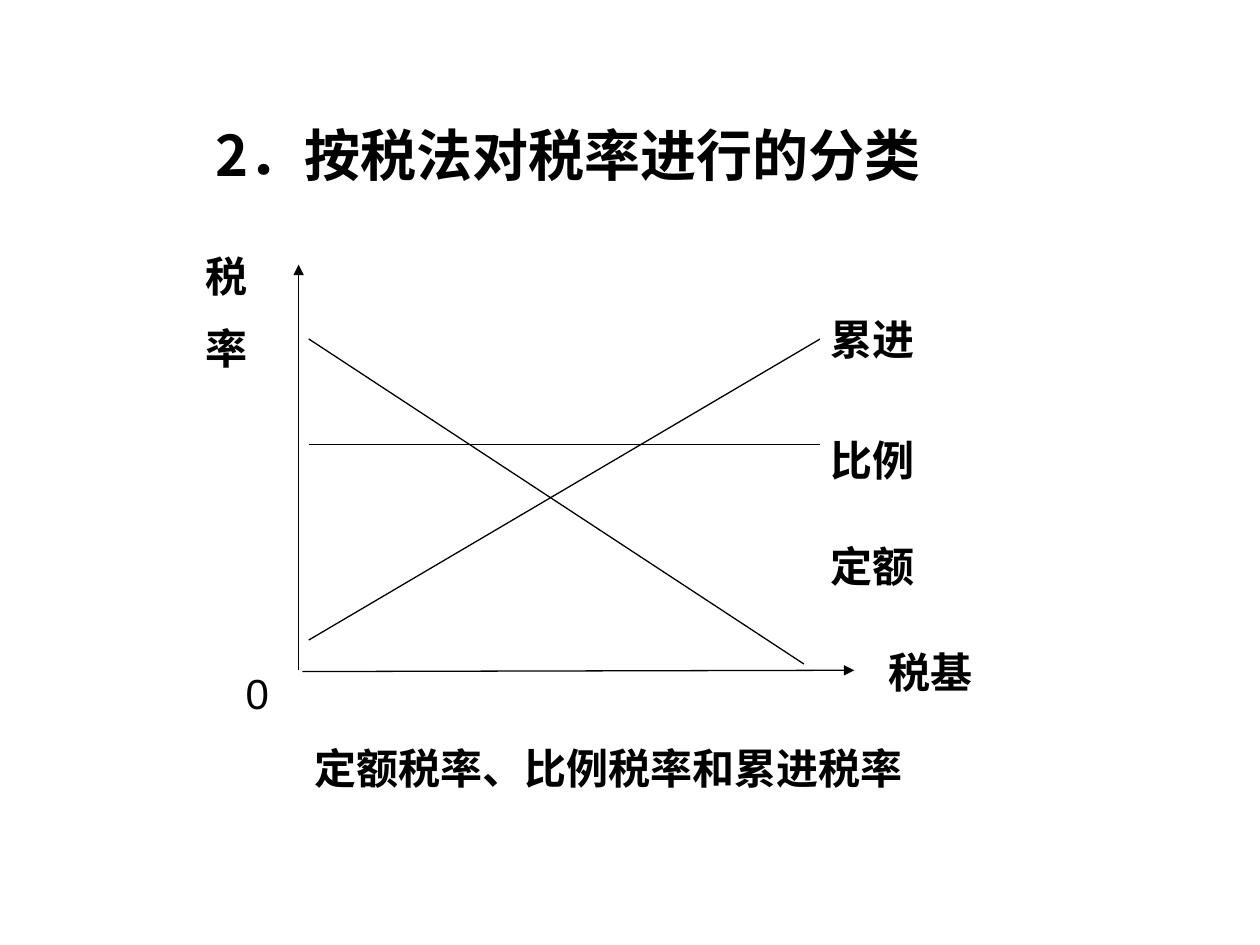
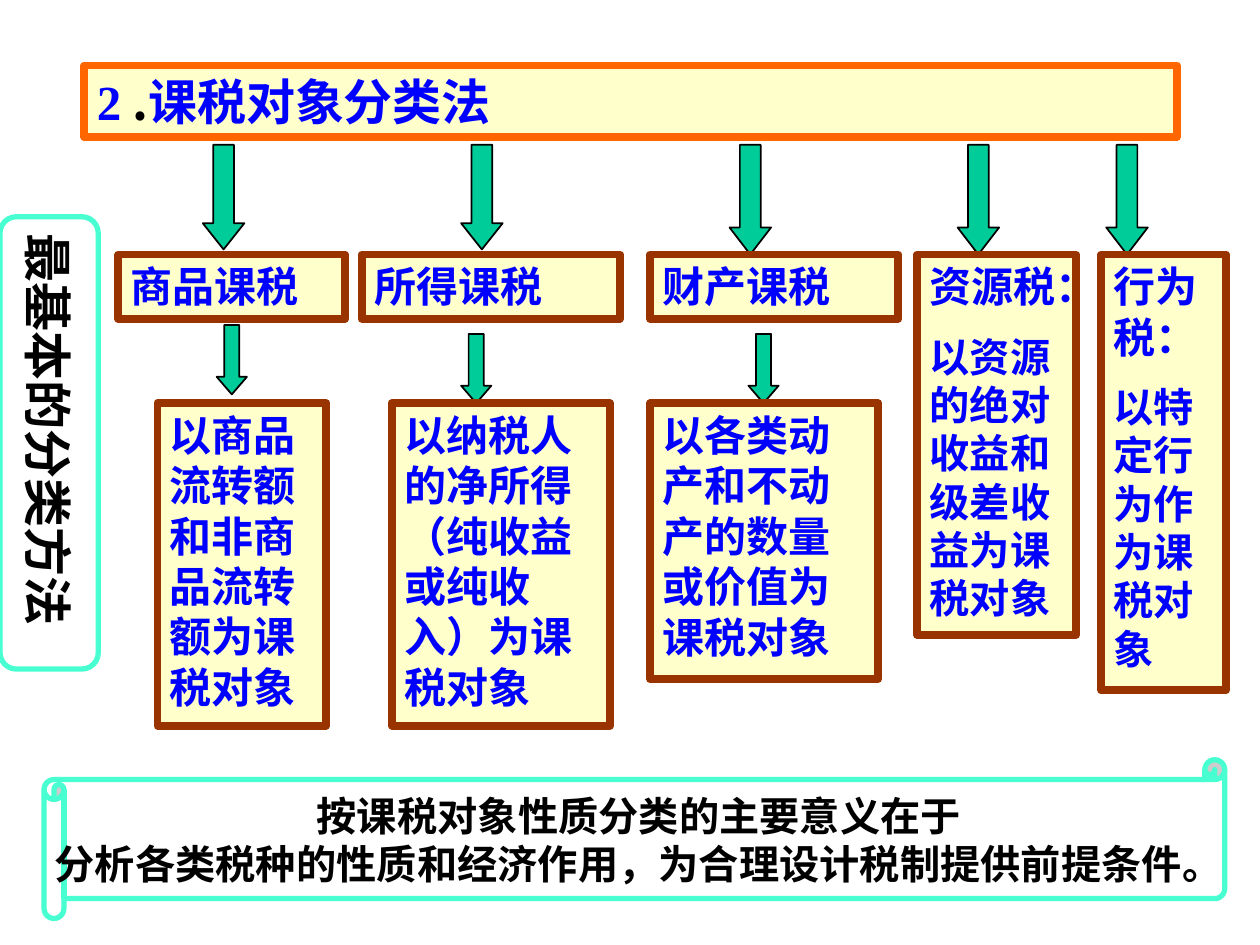
from lxml import etree
from pptx import Presentation
from pptx.dml.color import RGBColor
from pptx.enum.shapes import MSO_CONNECTOR, MSO_SHAPE
from pptx.enum.text import MSO_ANCHOR, PP_ALIGN
from pptx.oxml.ns import qn
from pptx.util import Inches, Pt

RECT, ROUNDED = MSO_SHAPE.RECTANGLE, MSO_SHAPE.ROUNDED_RECTANGLE
SCROLL, DOWN_ARROW = MSO_SHAPE.HORIZONTAL_SCROLL, MSO_SHAPE.DOWN_ARROW
STRAIGHT = MSO_CONNECTOR.STRAIGHT
TOP, MIDDLE = MSO_ANCHOR.TOP, MSO_ANCHOR.MIDDLE
LEFT, CENTER, JUSTIFY = PP_ALIGN.LEFT, PP_ALIGN.CENTER, PP_ALIGN.JUSTIFY

CJK, SANS, SERIF = "Noto Sans CJK SC", "Arial", "Times New Roman"
BLACK, WHITE, BLUE = "000000", "FFFFFF", "0000FF"
CREAM, ORANGE, BROWN = "FFFFCC", "FF6600", "993300"
GREEN, AQUA = "00CC99", "47FFD1"


def style_run(run, size, font, color, bold=True):
    run.font.size = Pt(size)
    run.font.bold = bold
    run.font.color.rgb = RGBColor.from_string(color)
    run.font.name = font
    etree.SubElement(run.font._element, qn("a:ea")).set("typeface", CJK)


def add_box(slide, place, paragraphs, font=CJK, color=BLACK, bold=True, preset=None, fill=WHITE,
            line=WHITE, weight=0.75, anchor=TOP, align=LEFT, gap=12, wrap=True):
    """Add a text box, or a filled shape if preset is given; paragraphs are (text, size) pairs."""
    place = [Inches(value) for value in place]
    if preset is None:
        box = slide.shapes.add_textbox(*place)
    else:
        box = slide.shapes.add_shape(preset, *place)
        box.shadow.inherit = False
        box.fill.solid()
        box.fill.fore_color.rgb = RGBColor.from_string(fill)
        box.line.color.rgb = RGBColor.from_string(line)
        box.line.width = Pt(weight)
    frame = box.text_frame
    frame.word_wrap = wrap
    frame.vertical_anchor = anchor
    frame.text = "\n".join(text for text, size in paragraphs)
    for index, (paragraph, (text, size)) in enumerate(zip(frame.paragraphs, paragraphs)):
        paragraph.alignment = align
        if index:
            paragraph.space_before = Pt(gap)
        for run in paragraph.runs:
            style_run(run, size, font, color, bold)
    return box


prs = Presentation()
prs.slide_width, prs.slide_height = Inches(10), Inches(7.5)
blank = prs.slide_layouts[6]

# Slide 1: tax rate against tax base
rates = prs.slides.add_slide(blank)
add_box(rates, (1.61, 0.91, 8.74, 0.8), [("2．按税法对税率进行的分类", 32)])

rate_lines = [  # x1, y1, x2, y2, arrowhead
    (2.37, 5.32, 2.37, 2.1, True),
    (2.4, 5.33, 6.78, 5.32, True),
    (2.45, 5.08, 6.51, 2.69, False),
    (2.45, 2.69, 6.38, 5.27, False),
    (2.45, 3.53, 6.51, 3.53, False),
]
for *ends, is_axis in rate_lines:
    connector = rates.shapes.add_connector(STRAIGHT, *[Inches(value) for value in ends])
    connector.line.color.rgb = RGBColor.from_string(BLACK)
    connector.line.width = Pt(0.75)
    if is_axis:
        etree.SubElement(connector.line._get_or_add_ln(), qn("a:tailEnd")).set("type", "triangle")
    etree.SubElement(connector._element.spPr, qn("a:effectLst"))

add_box(rates, (1.85, 5.25, 0.39, 0.5), [("0", 24)], font=SANS, bold=False)
add_box(rates, (1.53, 1.94, 0.55, 1.1), [("税", 24), ("率", 24)], font=SANS)
add_box(rates, (2.4, 5.64, 4.88, 0.9), [("定额税率、比例税率和累进税率", 24)], font=SANS, anchor=MIDDLE)

line_labels = [
    ("税基", (6.97, 5.09, 0.91, 0.55)),
    ("累进", (6.51, 2.45, 1.01, 0.74)),
    ("比例", (6.51, 3.41, 0.95, 0.56)),
    ("定额", (6.51, 4.25, 0.95, 0.91)),
]
for label, place in line_labels:
    frame = add_box(rates, place, [(label, 24)], font=SERIF, preset=RECT, align=JUSTIFY).text_frame
    frame.margin_left = frame.margin_right = Inches(0.08)
    frame.margin_top = frame.margin_bottom = Inches(0.04)

# Slide 2: classification by object of taxation
objects = prs.slides.add_slide(blank)
heading = add_box(objects, (0.67, 0.52, 8.67, 0.57), [("", 28)], preset=RECT,
                  fill=CREAM, line=ORANGE, weight=4.5)
for text, font, color in [("2", SERIF, BLUE), (" .", CJK, BLACK), ("课税对象分类法", SERIF, BLUE)]:
    run = heading.text_frame.paragraphs[0].add_run()
    run.text = text
    style_run(run, 28, font, color)

arrows = [  # left, top, width, height, head length relative to width
    (1.61, 1.15, 0.33, 0.83, 0.63),
    (3.66, 1.15, 0.33, 0.83, 0.63),
    *[(left, 1.15, 0.33, 0.87, 0.65) for left in (5.79, 7.6, 8.78)],
    (1.72, 2.58, 0.24, 0.55, 0.58),
    *[(left, 2.65, 0.24, 0.55, 0.58) for left in (3.66, 5.94)],
]
for *place, head in arrows:
    arrow = add_box(objects, place, [], preset=DOWN_ARROW, fill=GREEN, line=BLACK, weight=1)
    arrow.adjustments[1] = head

tax_boxes = [
    ((0.94, 2.02, 1.8, 0.51), [("商品课税", 24)]),
    ((2.87, 2.02, 2.05, 0.51), [("所得课税", 24)]),
    ((5.16, 2.02, 1.97, 0.51), [("财产课税", 24)]),
    ((1.25, 3.2, 1.34, 2.56), [("以商品流转额和非商品流转额为课税对象", 24)]),
    ((3.11, 3.2, 1.73, 2.56), [("以纳税人的净所得（纯收益或纯收入）为课税对象", 24)]),
    ((5.16, 3.2, 1.81, 2.19), [("以各类动产和不动产的数量或价值为课税对象", 24)]),
    ((7.28, 2.02, 1.26, 3.02), [("资源税：", 24), ("以资源的绝对收益和级差收益为课税对象", 23)]),
    ((8.74, 2.02, 0.99, 3.46), [("行为税：", 24), ("以特定行为作为课税对象", 23)]),
]
for place, paragraphs in tax_boxes:
    add_box(objects, place, paragraphs, color=BLUE, preset=RECT, fill=CREAM, line=BROWN, weight=4.5)

side_note = add_box(objects, (0, 1.72, 0.78, 3.59), [("最基本的分类方法", 28)], preset=ROUNDED,
                    line=AQUA, weight=3, anchor=MIDDLE, wrap=False)
side_note.text_frame._txBody.bodyPr.set("vert", "vert")

significance = [
    ("按课税对象性质分类的主要意义在于", 23),
    ("分析各类税种的性质和经济作用，为合理设计税制提供前提条件。", 23),
]
add_box(objects, (0.35, 6.03, 9.37, 1.26), significance, preset=SCROLL, line=AQUA, weight=3,
        anchor=MIDDLE, align=CENTER, gap=0, wrap=False)

prs.save("out.pptx")
